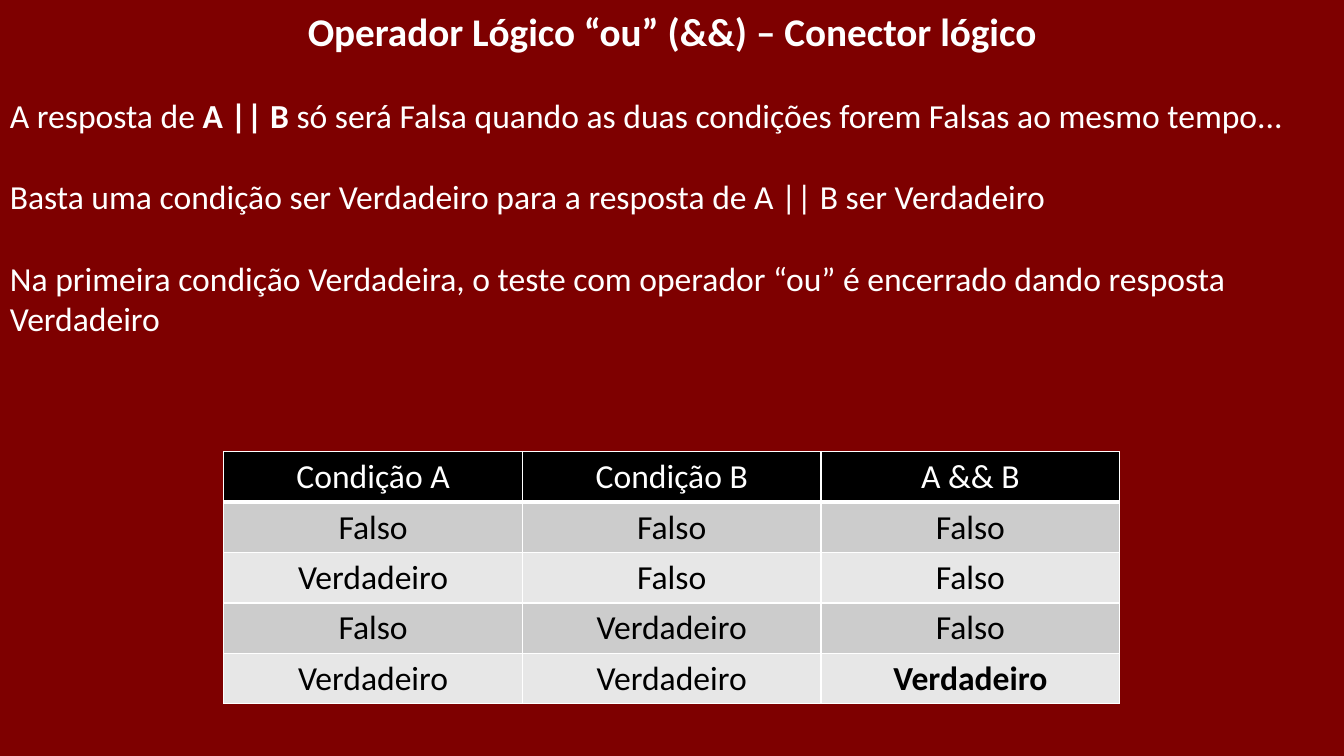
from lxml import etree
from pptx import Presentation
from pptx.dml.color import RGBColor
from pptx.enum.text import PP_ALIGN
from pptx.oxml.ns import qn
from pptx.util import Cm, Pt

CENTER, LEFT = PP_ALIGN.CENTER, PP_ALIGN.LEFT
FONT = "Calibri"
COLORS = {"background": "7E0000", "white": "FFFFFF", "black": "000000",
          "odd_row": "CCCCCC", "even_row": "E7E7E7"}
TITLE = "Operador Lógico “ou” (&&) – Conector lógico"
RULES = [
    [("A resposta de ", False), ("A || B ", True),
     ("só será Falsa quando as duas condições forem Falsas ao mesmo tempo...", False)],
    [("Basta uma condição ser Verdadeiro para a resposta de A || B ser Verdadeiro", False)],
    [("Na primeira condição Verdadeira, o teste com operador “ou” é encerrado "
      "dando resposta Verdadeiro", False)],
]
F, V = "Falso", "Verdadeiro"
TRUTH_ROWS = [("Condição A", "Condição B", "A && B"),
              (F, F, F), (V, F, F), (F, V, F), (V, V, V)]


def color(name):
    """Return the named colour."""
    return RGBColor.from_string(COLORS[name])


def style(paragraph, size, ink, align):
    """Set the font and alignment of a paragraph."""
    paragraph.alignment = align
    paragraph.font.name = FONT
    paragraph.font.size = Pt(size)
    paragraph.font.color.rgb = color(ink)


def add_explanation(slide, left, top, width, height):
    """Place the title and the rules of the operator."""
    frame = slide.shapes.add_textbox(left, top, width, height).text_frame
    frame.word_wrap = True
    title = frame.paragraphs[0]
    title.text = TITLE
    style(title, 28, "white", CENTER)
    title.font.bold = True
    for rule in RULES:
        paragraph = frame.add_paragraph()
        style(paragraph, 24, "white", LEFT)
        paragraph.space_before = Pt(29.3)
        for words, bold in rule:
            run = paragraph.add_run()
            run.text = words
            run.font.bold = bold


def add_borders(cell, widths):
    """Draw the left, right, top and bottom edges of a cell in white."""
    properties = cell._tc.get_or_add_tcPr()
    for position, (side, width) in enumerate(zip("LRTB", widths)):
        line = etree.Element(qn(f"a:ln{side}"), w=str(Pt(width)))
        fill = etree.SubElement(line, qn("a:solidFill"))
        etree.SubElement(fill, qn("a:srgbClr"), val=COLORS["white"])
        properties.insert(position, line)


def add_truth_table(slide, left, top, width, height):
    """Place the truth table with equal rows and columns."""
    rows, columns = len(TRUTH_ROWS), len(TRUTH_ROWS[0])
    table = slide.shapes.add_table(rows, columns, left, top, width, height).table
    for row, values in enumerate(TRUTH_ROWS):
        header = row == 0
        background = "black" if header else "odd_row" if row % 2 else "even_row"
        for column, value in enumerate(values):
            cell = table.cell(row, column)
            cell.text = value
            cell.fill.solid()
            cell.fill.fore_color.rgb = color(background)
            add_borders(cell, (1, 1, 3 if row == 1 else 1, 3 if header else 1))
            paragraph = cell.text_frame.paragraphs[0]
            style(paragraph, 24, "white" if header else "black", CENTER)
            paragraph.font.bold = row == rows - 1 and column == columns - 1


def main():
    """Build and save the slide."""
    deck = Presentation()
    deck.slide_width, deck.slide_height = Cm(33.87), Cm(19.05)
    slide = deck.slides.add_slide(deck.slide_layouts[6])
    slide.background.fill.solid()
    slide.background.fill.fore_color.rgb = color("background")
    add_explanation(slide, Cm(0), Cm(0.05), Cm(33.87), Cm(9.65))
    add_truth_table(slide, Cm(5.64), Cm(11.38), Cm(22.58), Cm(6.35))
    deck.save("out.pptx")


main()
